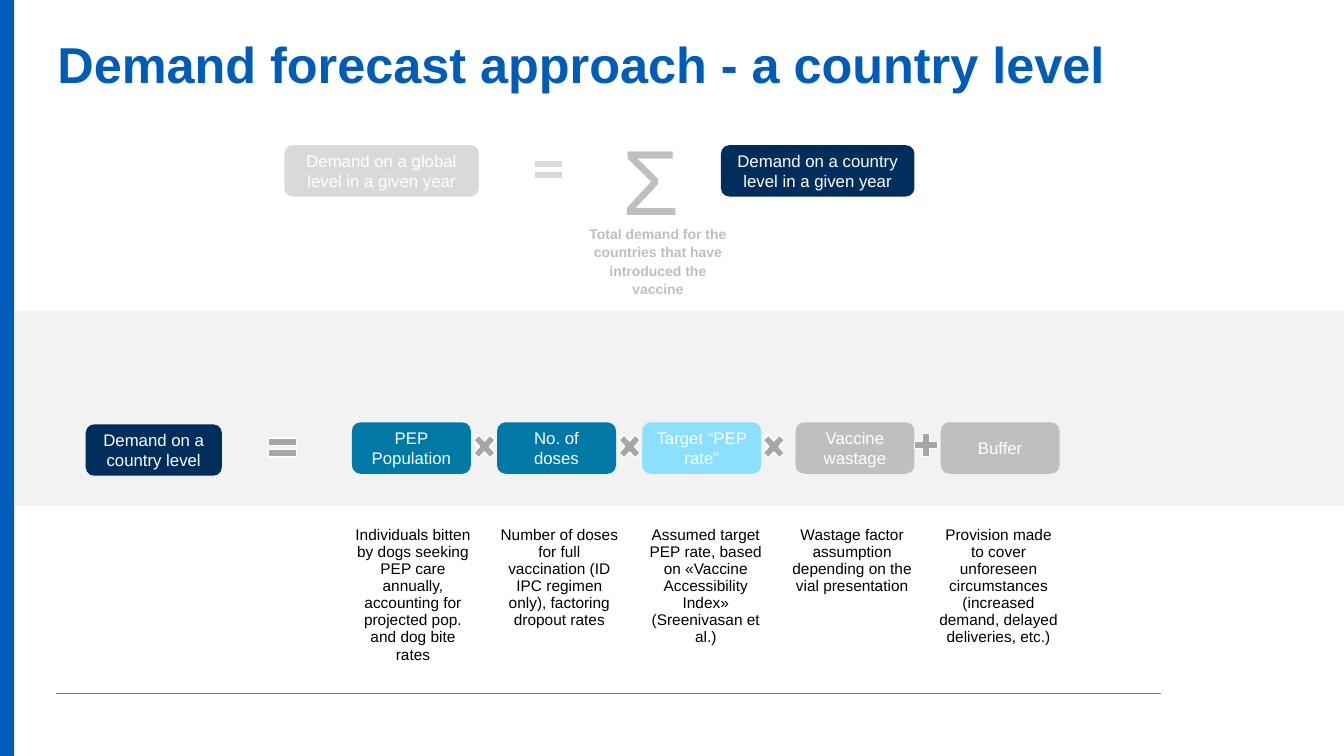
from lxml import etree
from pptx import Presentation
from pptx import util as u
from pptx.dml.color import RGBColor
from pptx.enum import shapes, text
from pptx.oxml import ns

PX = 9144  # 100 px to the inch
BLUE = RGBColor(0x00, 0x5C, 0xB9)
NAVY = RGBColor(0x00, 0x2E, 0x5C)
TEAL = RGBColor(0x00, 0x79, 0xA7)
SKY = RGBColor(0x8C, 0xDF, 0xFF)
BAND = RGBColor(0xF2, 0xF2, 0xF2)
PALE = RGBColor(0xD9, 0xD9, 0xD9)
GREY = RGBColor(0xBF, 0xBF, 0xBF)
SIGN = RGBColor(0xA6, 0xA6, 0xA6)
RULE = RGBColor(0x80, 0x80, 0x80)
WHITE = RGBColor(0xFF, 0xFF, 0xFF)
BLACK = RGBColor(0x00, 0x00, 0x00)
KIND = shapes.MSO_SHAPE
MID = text.PP_ALIGN.CENTER

deck = Presentation()
deck.slide_width, deck.slide_height = 1333 * PX, 750 * PX
slide = deck.slides.add_slide(deck.slide_layouts[6])


def write(frame, words, size, color, bold=False, **form):
    """Fill a text frame, one paragraph per line of words."""
    frame.text = words
    frame.word_wrap = True
    for para in frame.paragraphs:
        for key, val in form.items():
            setattr(para, key, val)
        font = {"name": "Arial", "size": u.Pt(size), "bold": bold}
        for key, val in font.items():
            setattr(para.font, key, val)
        para.font.color.rgb = color


def draw(kind, at, fill, edge=None, words=None):
    """Add a flat preset shape, with an optional edge and label."""
    item = slide.shapes.add_shape(kind, *[n * PX for n in at])
    item.shadow.inherit = False
    item.fill.solid()
    item.fill.fore_color.rgb = fill
    if edge is None:
        item.line.fill.background()
    else:
        item.line.color.rgb = edge
        item.line.width = u.Pt(1)
    if words:
        item.text_frame.vertical_anchor = text.MSO_ANCHOR.MIDDLE
        write(item.text_frame, words, 12, WHITE, alignment=MID)


# Side bar, foot rule and grey band
draw(KIND.RECTANGLE, (0, 0, 14, 750), BLUE)
rule = slide.shapes.add_connector(
    shapes.MSO_CONNECTOR.STRAIGHT, 56 * PX, 688 * PX, 1152 * PX, 688 * PX)
rule.line.color.rgb = RULE
rule.line.width = u.Pt(0.5)
etree.SubElement(rule._element.spPr, ns.qn("a:effectLst"))
draw(KIND.RECTANGLE, (15, 309, 1318, 193), BAND)

# Title, sum sign and its note
notes = [
    ((57, 40, 1220, 65), "Demand forecast approach - a country level",
     36, BLUE, True, {"line_spacing": 0.9}),
    ((581, 222, 143, 54),
     "Total demand for the countries that have introduced the vaccine",
     10, GREY, True,
     {"line_spacing": 1.1, "alignment": MID, "space_after": u.Pt(6)}),
    ((617, 111, 73, 111), "Σ", 66, GREY, False,
     {"line_spacing": 1.1, "space_after": u.Pt(12)}),
]
for at, words, size, color, bold, form in notes:
    frame = slide.shapes.add_textbox(*[n * PX for n in at]).text_frame
    for side in ("left", "top", "right", "bottom"):
        setattr(frame, "margin_" + side, 0)
    write(frame, words, size, color, bold, **form)

# Global formula
draw(KIND.ROUNDED_RECTANGLE, (282, 144, 193, 51), PALE,
     words="Demand on a global level in a given year")
draw(KIND.MATH_EQUAL, (525, 152, 38, 32), PALE, WHITE)
draw(KIND.ROUNDED_RECTANGLE, (715, 144, 192, 51), NAVY,
     words="Demand on a country level in a given year")

# Country formula
draw(KIND.ROUNDED_RECTANGLE, (85, 421, 135, 51), NAVY,
     words="Demand on a country level")
draw(KIND.MATH_EQUAL, (261, 428, 38, 32), SIGN, WHITE)
terms = [
    (349, TEAL, "PEP Population"),
    (493, TEAL, "No. of doses"),
    (637, SKY, "Target “PEP rate”"),
    (789, GREY, "Vaccine wastage"),
    (933, GREY, "Buffer"),
]
for left, fill, words in terms:
    draw(KIND.ROUNDED_RECTANGLE, (left, 419, 118, 51), fill, words=words)
for left in (465, 609, 752):
    draw(KIND.MATH_MULTIPLY, (left, 426, 31, 34), SIGN, WHITE)
draw(KIND.MATH_PLUS, (903, 426, 31, 31), SIGN, WHITE)

# What each term means
means = [
    "Individuals bitten by dogs seeking PEP care\n"
    "annually, accounting for projected pop. and dog bite rates",
    "Number of doses for full vaccination (ID IPC regimen only), "
    "factoring dropout rates",
    "Assumed target PEP rate, based on «Vaccine Accessibility Index» "
    "(Sreenivasan et al.)",
    "Wastage factor assumption depending on the vial presentation",
    "Provision made to cover unforeseen circumstances "
    "(increased demand, delayed deliveries, etc.)",
]
table = slide.shapes.add_table(
    1, len(means), 337 * PX, 518 * PX, 726 * PX, 168 * PX).table
table.first_row = table.horz_banding = False
pads = {"margin_left": 12, "margin_right": 12,
        "margin_top": 4, "margin_bottom": 4}
for cell, words in zip(table.iter_cells(), means):
    cell.fill.background()
    for key, val in pads.items():
        setattr(cell, key, val * PX)
    write(cell.text_frame, words, 11, BLACK, alignment=MID)

deck.save("out.pptx")
